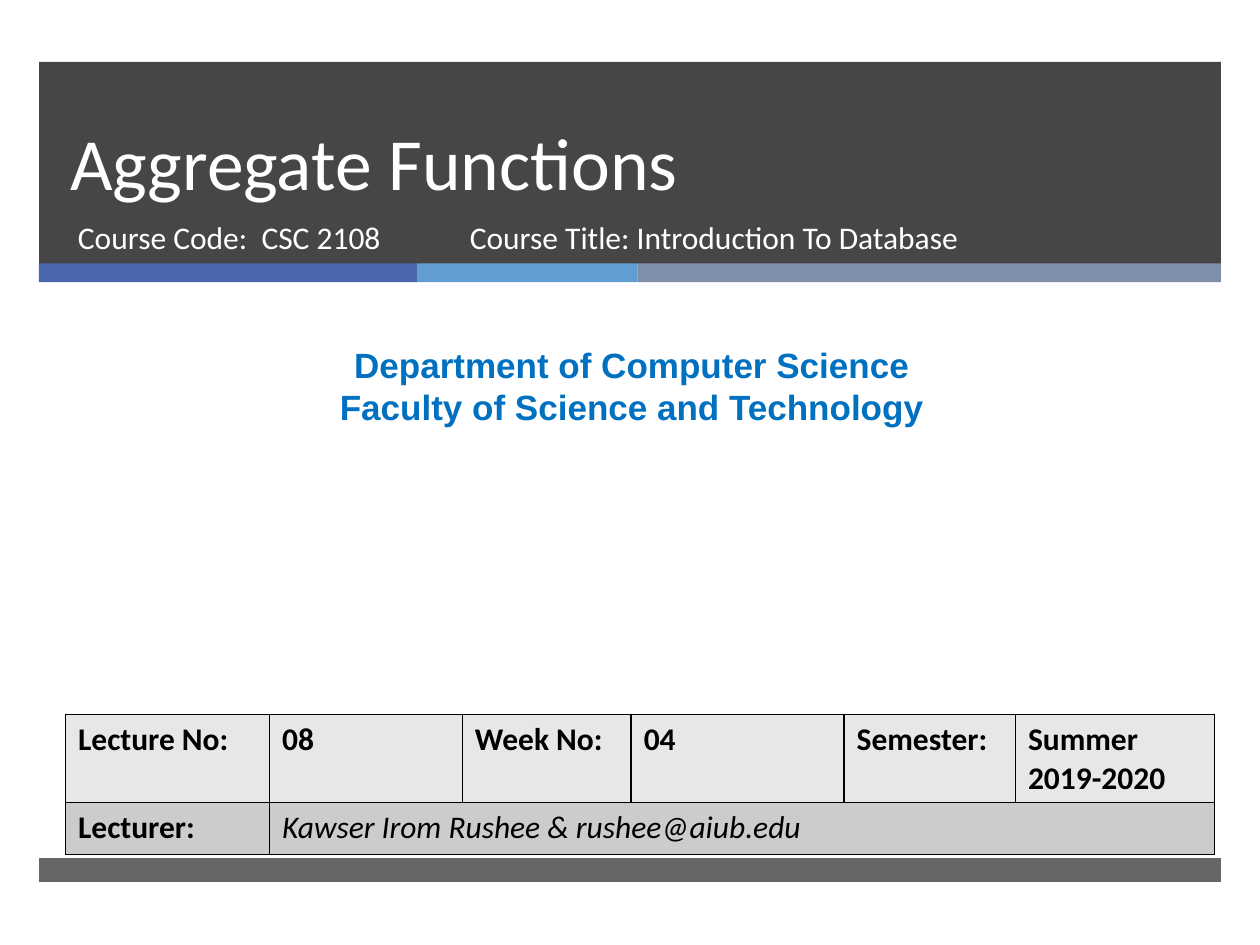
from lxml import etree
from pptx import Presentation
from pptx.dml.color import RGBColor
from pptx.enum.shapes import MSO_SHAPE
from pptx.enum.text import MSO_ANCHOR, PP_ALIGN
from pptx.oxml.ns import qn
from pptx.util import Inches, Pt

RECTANGLE = MSO_SHAPE.RECTANGLE
TOP, BOTTOM = MSO_ANCHOR.TOP, MSO_ANCHOR.BOTTOM
LEFT, CENTER = PP_ALIGN.LEFT, PP_ALIGN.CENTER

WHITE = RGBColor(0xFF, 0xFF, 0xFF)
BLACK = RGBColor(0, 0, 0)
CHARCOAL = RGBColor(0x26, 0x26, 0x26)
INDIGO = RGBColor(0x4A, 0x66, 0xAC)
SKY = RGBColor(0x62, 0x9D, 0xD1)
SLATE = RGBColor(0x7F, 0x8F, 0xA9)
DEPARTMENT_BLUE = RGBColor(0x00, 0x70, 0xC0)
LIGHT_ROW = RGBColor(0xE7, 0xE7, 0xE7)
DARK_ROW = RGBColor(0xCC, 0xCC, 0xCC)

SLIDE_WIDTH, SLIDE_HEIGHT = 10, 7.5
BAND_LEFT, BAND_WIDTH = 0.31, 9.38
HEADER_TOP, STRIPE_TOP, FOOTER_TOP = 0.49, 2.09, 6.81
STRIPES = [(3, INDIGO), (1.75, SKY), (4.63, SLATE)]

TITLE = "Aggregate Functions"
COURSE_LINES = [
    ("Course Code:  CSC 2108", 0.52, 3.05),
    ("Course Title: Introduction To Database", 3.63, 4.55),
]
DEPARTMENT = ["Department of Computer Science", "Faculty of Science and Technology"]

COLUMN_WIDTHS = [1.62, 1.53, 1.34, 1.69, 1.36, 1.58]
LECTURE_ROWS = [
    (0.7, LIGHT_ROW, ["Lecture No:", "08", "Week No:", "04", "Semester:", "Summer 2019-2020"]),
    (0.41, DARK_ROW, ["Lecturer:", "Kawser Irom Rushee & rushee@aiub.edu"]),
]


def add_bar(slide, left, top, width, height, color, opacity=100):
    bar = slide.shapes.add_shape(
        RECTANGLE, Inches(left), Inches(top), Inches(width), Inches(height))
    bar.shadow.inherit = False
    bar.line.fill.background()
    bar.fill.solid()
    bar.fill.fore_color.rgb = color
    if opacity < 100:
        color_element = bar.fill._xPr.find(".//" + qn("a:srgbClr"))
        etree.SubElement(color_element, qn("a:alpha"), val=str(opacity * 1000))


def add_span(para, text, size, color, font="Calibri", bold=False, italic=False):
    span = para.add_run()
    span.text = text
    span.font.name = font
    span.font.size = Pt(size)
    span.font.color.rgb = color
    span.font.bold = bold
    span.font.italic = italic


def add_text(slide, lines, left, top, width, height, size, color, anchor=TOP,
             align=LEFT, spacing=None, **style):
    box = slide.shapes.add_textbox(
        Inches(left), Inches(top), Inches(width), Inches(height))
    frame = box.text_frame
    frame.word_wrap = True
    frame.vertical_anchor = anchor
    for index, line in enumerate(lines):
        para = frame.add_paragraph() if index else frame.paragraphs[0]
        para.alignment = align
        if spacing:
            para.line_spacing = Pt(spacing)
        add_span(para, line, size, color, **style)


def add_borders(cell):
    properties = cell._tc.get_or_add_tcPr()
    for position, side in enumerate(("lnL", "lnR", "lnT", "lnB")):
        line = etree.Element(qn("a:" + side), w=str(Pt(1)))
        fill = etree.SubElement(line, qn("a:solidFill"))
        etree.SubElement(fill, qn("a:srgbClr"), val=str(BLACK))
        properties.insert(position, line)


def add_lecture_table(slide, left, top):
    height = sum(row[0] for row in LECTURE_ROWS)
    table = slide.shapes.add_table(
        len(LECTURE_ROWS), len(COLUMN_WIDTHS), Inches(left), Inches(top),
        Inches(sum(COLUMN_WIDTHS)), Inches(height)).table
    for column, width in zip(table.columns, COLUMN_WIDTHS):
        column.width = Inches(width)
    for row_index, (row_height, color, texts) in enumerate(LECTURE_ROWS):
        table.rows[row_index].height = Inches(row_height)
        for cell in table.rows[row_index].cells:
            cell.fill.solid()
            cell.fill.fore_color.rgb = color
            add_borders(cell)
        for column_index, text in enumerate(texts):
            para = table.cell(row_index, column_index).text_frame.paragraphs[0]
            is_lecturer = row_index == 1 and column_index == 1
            add_span(para, text, 18, BLACK, bold=not is_lecturer, italic=is_lecturer)
    table.cell(1, 1).merge(table.cell(1, len(COLUMN_WIDTHS) - 1))


def main():
    deck = Presentation()
    deck.slide_width, deck.slide_height = Inches(SLIDE_WIDTH), Inches(SLIDE_HEIGHT)
    slide = deck.slides.add_slide(deck.slide_layouts[6])

    add_bar(slide, BAND_LEFT, HEADER_TOP, BAND_WIDTH, 1.61, CHARCOAL, opacity=85)
    stripe_left = BAND_LEFT
    for width, color in STRIPES:
        add_bar(slide, stripe_left, STRIPE_TOP, width, 0.15, color)
        stripe_left += width
    add_bar(slide, BAND_LEFT, FOOTER_TOP, BAND_WIDTH, 0.19, CHARCOAL, opacity=70)

    add_text(slide, [TITLE], 0.46, HEADER_TOP, 8.54, 1.19, 42, WHITE,
             anchor=BOTTOM, spacing=46)
    for text, left, width in COURSE_LINES:
        add_text(slide, [text], left, 1.68, width, 0.53, 18, WHITE)
    add_text(slide, DEPARTMENT, 0.08, 2.68, 9.87, 0.77, 20, DEPARTMENT_BLUE,
             align=CENTER, font="Arial", bold=True)
    add_lecture_table(slide, 0.52, 5.67)

    deck.save("out.pptx")


if __name__ == "__main__":
    main()
